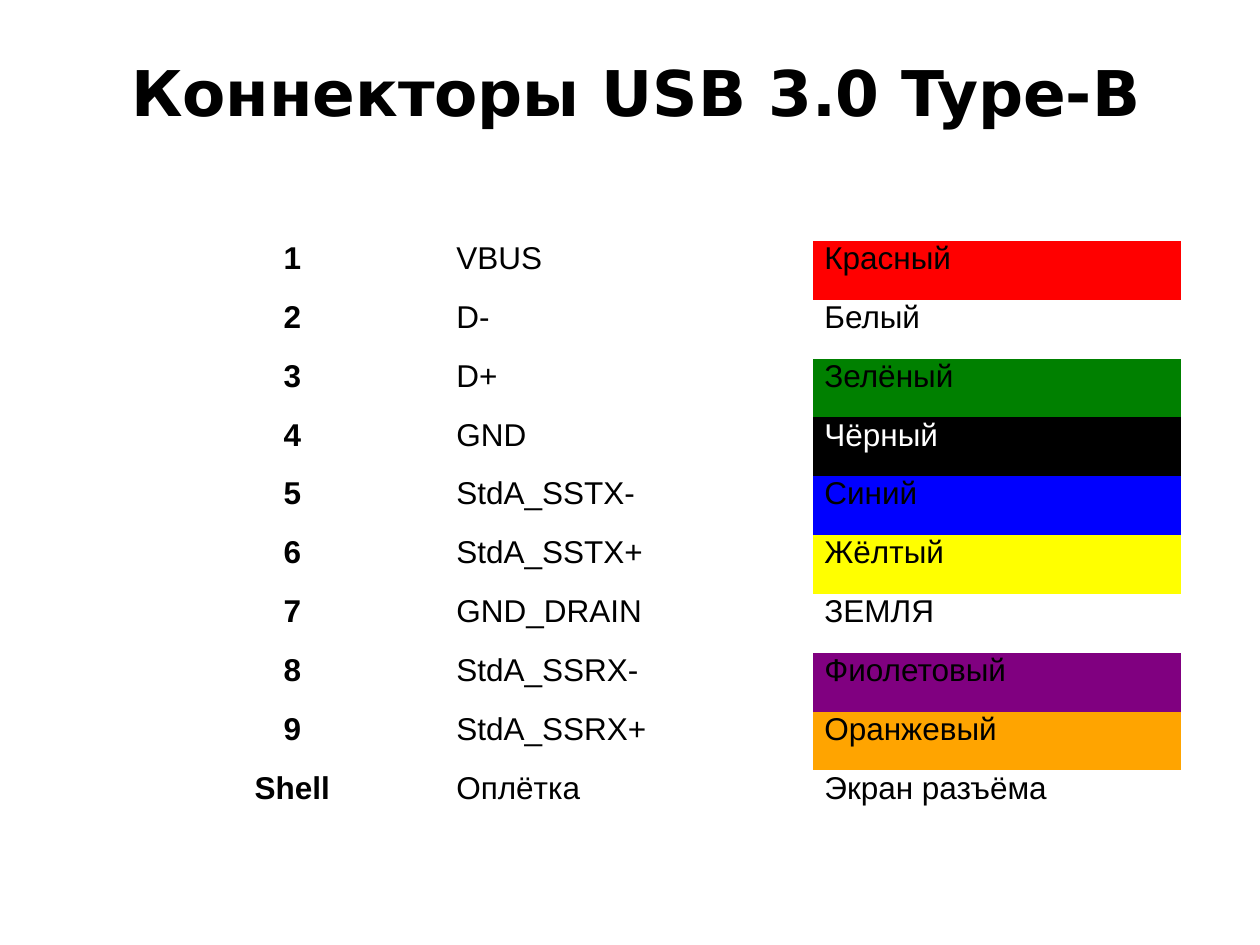
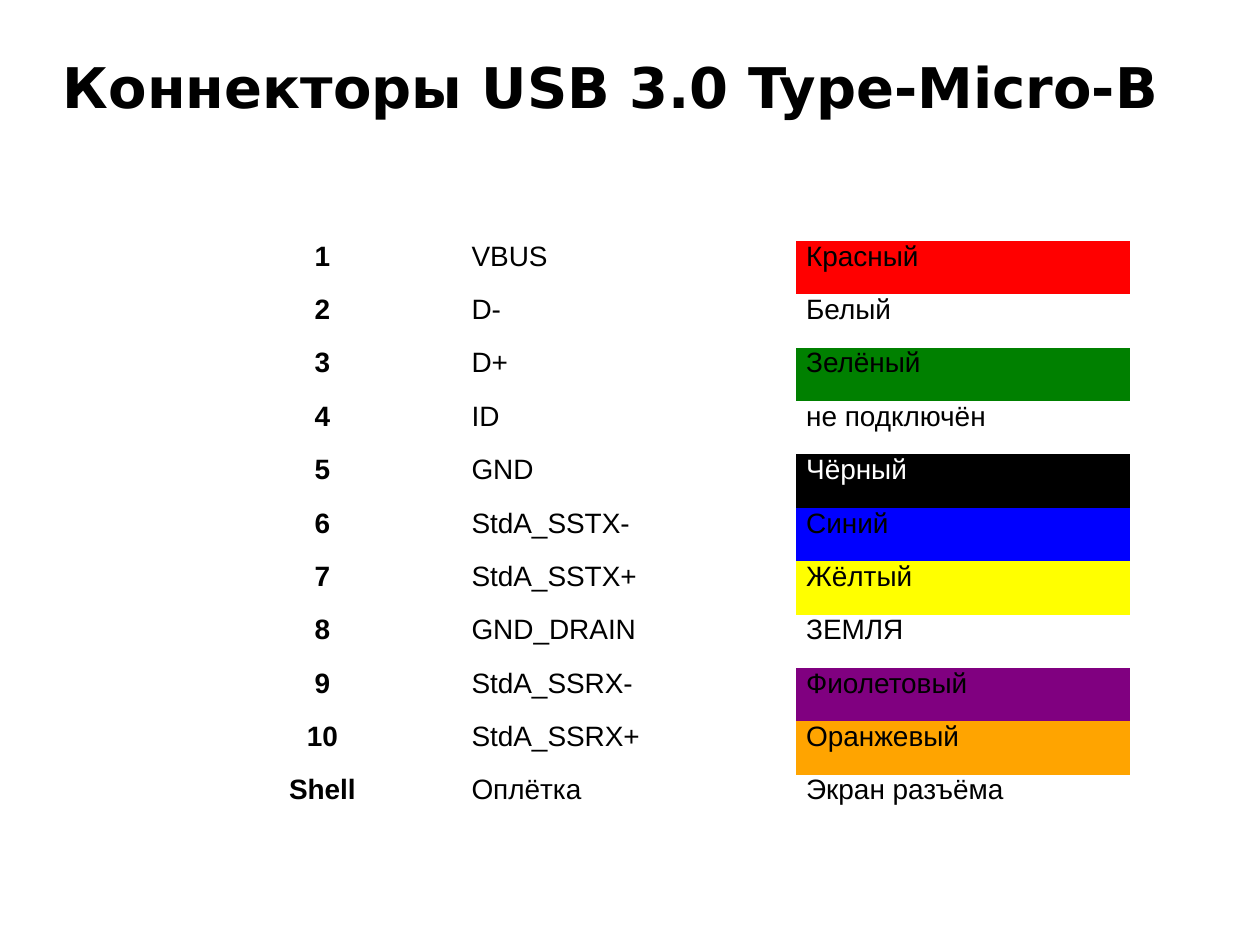
from pptx import Presentation
from pptx.dml.color import RGBColor
from pptx.enum.text import MSO_ANCHOR, PP_ALIGN
from pptx.util import Inches, Pt

WIDE, HIGH = Inches(10), Inches(7.5)
BLACK = RGBColor(0x00, 0x00, 0x00)
WHITE = RGBColor(0xFF, 0xFF, 0xFF)
RED = RGBColor(0xFF, 0x00, 0x00)
GREEN = RGBColor(0x00, 0x80, 0x00)
BLUE = RGBColor(0x00, 0x00, 0xFF)
YELLOW = RGBColor(0xFF, 0xFF, 0x00)
PURPLE = RGBColor(0x80, 0x00, 0x80)
ORANGE = RGBColor(0xFF, 0xA4, 0x00)

HEAD_FONT, BODY_FONT = "DejaVu Sans", "Arial"
NO_STYLE = "{2D5ABB26-0587-4C30-8999-92F81FD0307C}"
COLS = (17.6, 44.7, 37.7)
LAST_ROW = 0.81
PADS = (0, 0.18, 0.03)

WIRES = [
    ("VBUS", "Красный", RED),
    ("D-", "Белый", None),
    ("D+", "Зелёный", GREEN),
    ("GND", "Чёрный", BLACK),
    ("StdA_SSTX-", "Синий", BLUE),
    ("StdA_SSTX+", "Жёлтый", YELLOW),
    ("GND_DRAIN", "ЗЕМЛЯ", None),
    ("StdA_SSRX-", "Фиолетовый", PURPLE),
    ("StdA_SSRX+", "Оранжевый", ORANGE),
]
MICRO = WIRES[:3] + [("ID", "не подключён", None)] + WIRES[3:]
SHELL = ("Shell", "Оплётка", "Экран разъёма", None)


def place(x, y, w, h):
    return [round(v) for v in (x * WIDE, y * HIGH, w * WIDE, h * HIGH)]


def style(para, name, size, bold, color):
    font = para.font
    font.name, font.size, font.bold = name, Pt(size), bold
    font.color.rgb = color


def add_title(slide, box, text, size, left, top):
    frame = slide.shapes.add_textbox(*box).text_frame
    frame.word_wrap = True
    frame.vertical_anchor = MSO_ANCHOR.TOP
    frame.margin_left = round(left * box[2])
    frame.margin_top = round(top * box[3])
    frame.margin_right = frame.margin_bottom = 0
    frame.text = text
    style(frame.paragraphs[0], HEAD_FONT, size, True, BLACK)


def fill_cell(cell, text, pad, size, bold, tint):
    cell.margin_left = pad
    cell.margin_top = cell.margin_right = cell.margin_bottom = 0
    if tint is None:
        cell.fill.background()
    else:
        cell.fill.solid()
        cell.fill.fore_color.rgb = tint
    cell.text = text
    para = cell.text_frame.paragraphs[0]
    para.alignment = PP_ALIGN.CENTER if bold else PP_ALIGN.LEFT
    style(para, BODY_FONT, size, bold, WHITE if tint == BLACK else BLACK)


def add_pins(slide, box, wires, size):
    rows = [(str(n), *wire) for n, wire in enumerate(wires, 1)] + [SHELL]
    table = slide.shapes.add_table(len(rows), len(COLS), *box).table
    table._tbl.tblPr.find("{*}tableStyleId").text = NO_STYLE
    table.first_row = table.horz_banding = False
    for col, share in zip(table.columns, COLS):
        col.width = round(box[2] * share / 100)
    step = box[3] / (len(wires) + LAST_ROW)
    for r, (*texts, tint) in enumerate(rows):
        table.rows[r].height = round(step * (LAST_ROW if r == len(wires) else 1))
        for c, text in enumerate(texts):
            pad = round(PADS[c] * table.columns[c].width)
            fill_cell(table.cell(r, c), text, pad, size, c == 0,
                      tint if c == 2 else None)


def add_page(deck, title, size, left, top, wires, area, body):
    slide = deck.slides.add_slide(deck.slide_layouts[6])
    add_title(slide, place(0.05, 0, 0.9, 0.15), title, size, left, top)
    add_pins(slide, area, wires, body)


def main():
    deck = Presentation()
    deck.slide_width, deck.slide_height = WIDE, HIGH
    add_page(deck, "Коннекторы USB 3.0 Type-B", 36, 0.06, 0.38, WIRES,
             place(0.164, 0.255, 0.773, 0.611), 18)
    add_page(deck, "Коннекторы USB 3.0 Type-Micro-B", 32, 0, 0.37, MICRO,
             place(0.194, 0.255, 0.703, 0.611), 16)
    deck.save("out.pptx")


if __name__ == "__main__":
    main()
